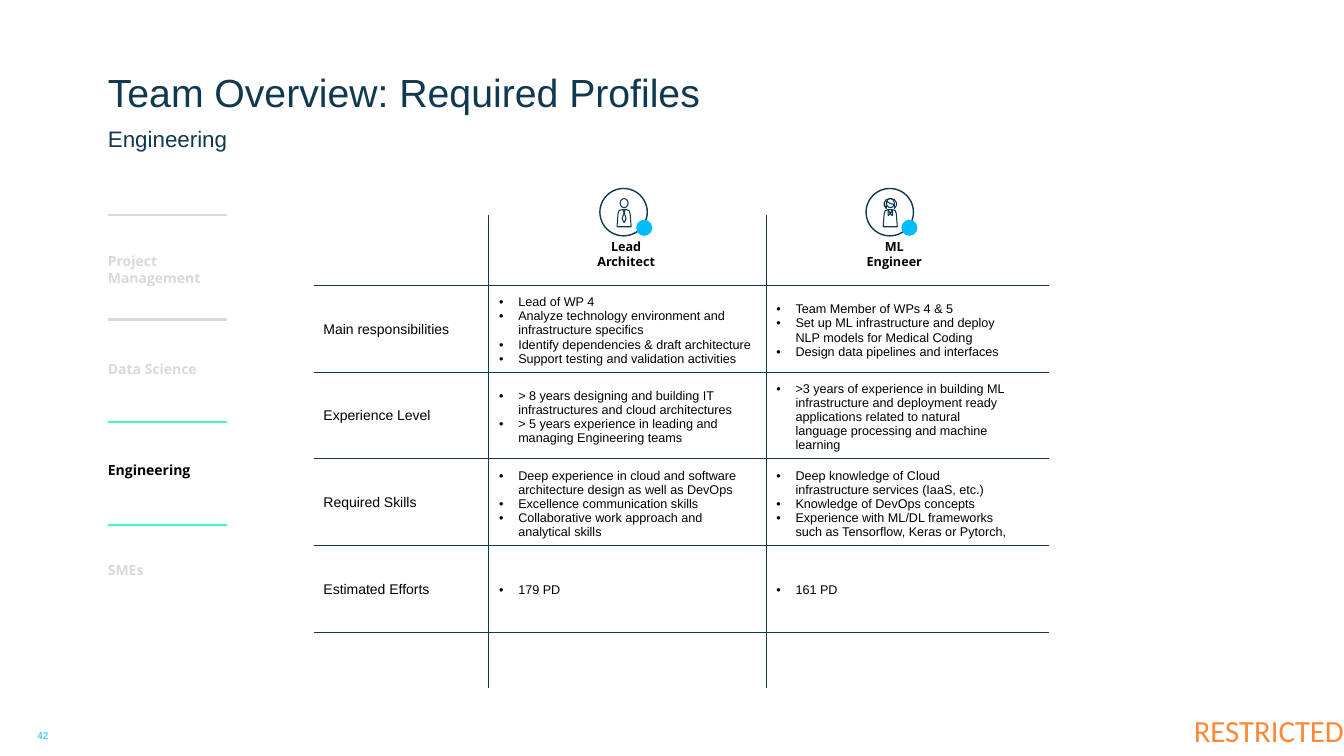
from dataclasses import dataclass

from lxml import etree
from pptx import Presentation
from pptx.dml.color import RGBColor
from pptx.enum.shapes import MSO_CONNECTOR, MSO_SHAPE
from pptx.enum.text import MSO_ANCHOR, PP_ALIGN
from pptx.oxml.ns import qn
from pptx.shapes.autoshape import Shape
from pptx.slide import Slide
from pptx.text.text import TextFrame
from pptx.util import Inches, Pt

NAVY = RGBColor(0x10, 0x38, 0x4F)
CYAN = RGBColor(0x00, 0xBC, 0xFF)
TEAL = RGBColor(0x3E, 0xFA, 0xC5)
GREY = RGBColor(0xD9, 0xD9, 0xD9)
BLACK = RGBColor(0x00, 0x00, 0x00)
ORANGE = RGBColor(0xFF, 0x89, 0x39)

TOP, MIDDLE, BOTTOM = MSO_ANCHOR.TOP, MSO_ANCHOR.MIDDLE, MSO_ANCHOR.BOTTOM
LEFT, CENTER, RIGHT = PP_ALIGN.LEFT, PP_ALIGN.CENTER, PP_ALIGN.RIGHT
OVAL = MSO_SHAPE.OVAL
STRAIGHT = MSO_CONNECTOR.STRAIGHT

PLAIN_TABLE_STYLE = "{2D5ABB26-0587-4C30-8999-92F81FD0307C}"
ROW_HEIGHT = 0.86
GRID_TOP = 2.83
Points = list[tuple[float, float]]


@dataclass(frozen=True)
class Label:
    text: str
    left: float
    top: float
    width: float
    height: float
    size: float
    color: RGBColor
    font: str = "Arial"
    bold: bool = False
    align: PP_ALIGN = LEFT
    anchor: MSO_ANCHOR = TOP
    side_inset: float = 0
    wrap: bool = True


@dataclass(frozen=True)
class Section:
    text: str
    line_top: float
    text_top: float
    text_height: float
    line_color: RGBColor
    text_color: RGBColor


@dataclass(frozen=True)
class Profile:
    name: str
    center: float
    label_center: float
    dot_left: float
    outlines: list[Points]
    cells: list[list[str]]


BODY: Points = [(-0.07, 2.25), (-0.06, 2.12), (-0.05, 2.09), (-0.02, 2.08), (0.02, 2.08),
                (0.05, 2.09), (0.06, 2.12), (0.07, 2.25)]
TIE: Points = [(-0.01, 2.08), (0.01, 2.08), (0, 2.11), (0.02, 2.17), (0, 2.21), (-0.02, 2.17), (0, 2.11)]
HAIR: Points = [(-0.04, 2.07), (-0.06, 2.04), (-0.06, 2.01), (-0.04, 1.98), (0, 1.97), (0.04, 1.98),
                (0.06, 2.01), (0.06, 2.04), (0.04, 2.07), (0.04, 2.03), (0, 2.02), (-0.03, 2), (-0.04, 2.03)]
LAPELS: Points = [(-0.02, 2.08), (-0.02, 2.14), (0, 2.12), (0.02, 2.14), (0.02, 2.08), (0, 2.12)]

SECTIONS = [
    Section("Project Management", 2.13, 2.4, 0.55, GREY, GREY),
    Section("Data Science", 3.17, 3.49, 0.34, GREY, GREY),
    Section("Engineering", 4.19, 4.49, 0.34, TEAL, BLACK),
    Section("SMEs", 5.21, 5.48, 0.34, TEAL, GREY),
]

ROW_LABELS = ["Main responsibilities", "Experience Level", "Required Skills", "Estimated Efforts"]

PROFILES = [
    Profile("Lead\vArchitect", 6.19, 6.21, 6.31, [BODY, TIE], [
        ["Lead of WP 4",
         "Analyze technology environment and infrastructure specifics",
         "Identify dependencies & draft architecture",
         "Support testing and validation activities"],
        ["> 8 years designing and building IT infrastructures and cloud architectures",
         "> 5 years experience in leading and managing Engineering teams"],
        ["Deep experience in cloud and software architecture design as well as DevOps",
         "Excellence communication skills",
         "Collaborative work approach and analytical skills"],
        ["179 PD"],
    ]),
    Profile("ML\vEngineer", 8.83, 8.87, 8.94, [BODY, LAPELS, HAIR], [
        ["Team Member of WPs 4 & 5",
         "Set up ML infrastructure and deploy NLP models for Medical Coding",
         "Design data pipelines and interfaces"],
        [">3 years of experience in building ML infrastructure and deployment ready applications "
         "related to natural language processing and machine learning"],
        ["Deep knowledge of Cloud infrastructure services (IaaS, etc.)",
         "Knowledge of DevOps concepts",
         "Experience with ML/DL frameworks such as Tensorflow, Keras or Pytorch,"],
        ["161 PD"],
    ]),
]

LABELS = [
    Label("RESTRICTED", 11.28, 6.99, 2.05, 0.51, 22, ORANGE, "Calibri", align=RIGHT, anchor=MIDDLE),
    Label("Engineering", 1.07, 1.24, 11.81, 0.28, 16, NAVY),
    Label("Team Overview: Required Profiles", 1.07, 0.2, 11.81, 0.94, 28, NAVY, anchor=BOTTOM),
    Label("42", 0.21, 7.24, 0.43, 0.12, 7, CYAN, align=CENTER),
]


def add_label(slide: Slide, label: Label) -> None:
    box = slide.shapes.add_textbox(Inches(label.left), Inches(label.top),
                                   Inches(label.width), Inches(label.height))
    frame = box.text_frame
    frame.word_wrap = label.wrap
    frame.vertical_anchor = label.anchor
    frame.margin_left = frame.margin_right = Inches(label.side_inset)
    frame.margin_top = frame.margin_bottom = 0
    paragraph = frame.paragraphs[0]
    paragraph.text = label.text
    paragraph.alignment = label.align
    paragraph.font.name = label.font
    paragraph.font.size = Pt(label.size)
    paragraph.font.bold = label.bold
    paragraph.font.color.rgb = label.color


def add_line(slide: Slide, x1: float, y1: float, x2: float, y2: float, color: RGBColor, width: float) -> None:
    line = slide.shapes.add_connector(STRAIGHT, Inches(x1), Inches(y1), Inches(x2), Inches(y2))
    line.line.color.rgb = color
    line.line.width = Pt(width)
    etree.SubElement(line._element.spPr, qn("a:effectLst"))


def style_outline(shape: Shape, width: float) -> None:
    shape.shadow.inherit = False
    shape.fill.background()
    shape.line.color.rgb = NAVY
    shape.line.width = Pt(width)


def add_circle(slide: Slide, left: float, top: float, width: float, height: float) -> Shape:
    return slide.shapes.add_shape(OVAL, Inches(left), Inches(top), Inches(width), Inches(height))


def add_profile_icon(slide: Slide, profile: Profile) -> None:
    style_outline(add_circle(slide, profile.center - 0.24, 1.87, 0.47, 0.47), 1)
    style_outline(add_circle(slide, profile.center - 0.04, 1.97, 0.08, 0.09), 0.75)
    for outline in profile.outlines:
        points = [(Inches(profile.center + x), Inches(y)) for x, y in outline]
        builder = slide.shapes.build_freeform(*points[0])
        builder.add_line_segments(points[1:], close=True)
        style_outline(builder.convert_to_shape(), 0.75)
    dot = add_circle(slide, profile.dot_left, 2.18, 0.16, 0.16)
    dot.shadow.inherit = False
    dot.fill.solid()
    dot.fill.fore_color.rgb = CYAN
    dot.line.fill.background()


def fill_bullets(frame: TextFrame, items: list[str]) -> None:
    for index, item in enumerate(items):
        paragraph = frame.add_paragraph() if index else frame.paragraphs[0]
        paragraph.text = item
        properties = paragraph._p.get_or_add_pPr()
        properties.set("marL", str(Inches(0.19)))
        properties.set("indent", str(-Inches(0.19)))
        etree.SubElement(properties, qn("a:buFont"), typeface="Arial")
        etree.SubElement(properties, qn("a:buChar"), char="•")
        paragraph.font.name = "Arial"
        paragraph.font.size = Pt(9)
        paragraph.font.color.rgb = BLACK


def add_profile_table(slide: Slide) -> None:
    rows = len(ROW_LABELS)
    table = slide.shapes.add_table(rows, len(PROFILES), Inches(4.85), Inches(2.85),
                                   Inches(5.29), Inches(ROW_HEIGHT * rows)).table
    table._tbl.tblPr.find(qn("a:tableStyleId")).text = PLAIN_TABLE_STYLE
    table.first_row = table.horz_banding = False
    for column, (width, profile) in enumerate(zip((2.75, 2.54), PROFILES)):
        table.columns[column].width = Inches(width)
        for row, items in enumerate(profile.cells):
            cell = table.cell(row, column)
            cell.fill.background()
            cell.vertical_anchor = MIDDLE
            fill_bullets(cell.text_frame, items)


def main() -> None:
    presentation = Presentation()
    presentation.slide_width = Inches(13.33)
    presentation.slide_height = Inches(7.5)
    slide = presentation.slides.add_slide(presentation.slide_layouts[6])
    for label in LABELS:
        add_label(slide, label)
    for row, text in enumerate(ROW_LABELS):
        add_label(slide, Label(text, 3.11, 3.09 + row * ROW_HEIGHT, 1.71, 0.34, 10, BLACK,
                               anchor=MIDDLE, side_inset=0.1))
    for row in range(len(ROW_LABELS) + 1):
        y = GRID_TOP + row * ROW_HEIGHT
        add_line(slide, 3.11, y, 10.4, y, NAVY, 0.5)
    for x in (4.84, 7.6):
        add_line(slide, x, 2.13, x, 6.83, NAVY, 0.5)
    for section in SECTIONS:
        add_line(slide, 1.07, section.line_top, 2.25, section.line_top, section.line_color, 1.5)
        add_label(slide, Label(section.text, 1.07, section.text_top, 0.95, section.text_height, 10,
                               section.text_color, "Open Sans", bold=True, anchor=MIDDLE))
    for profile in PROFILES:
        add_label(slide, Label(profile.name, profile.label_center - 0.44, 2.37, 0.88, 0.3, 9, BLACK,
                               "Open Sans", bold=True, align=CENTER, wrap=False))
        add_profile_icon(slide, profile)
    add_profile_table(slide)
    presentation.save("out.pptx")


if __name__ == "__main__":
    main()
